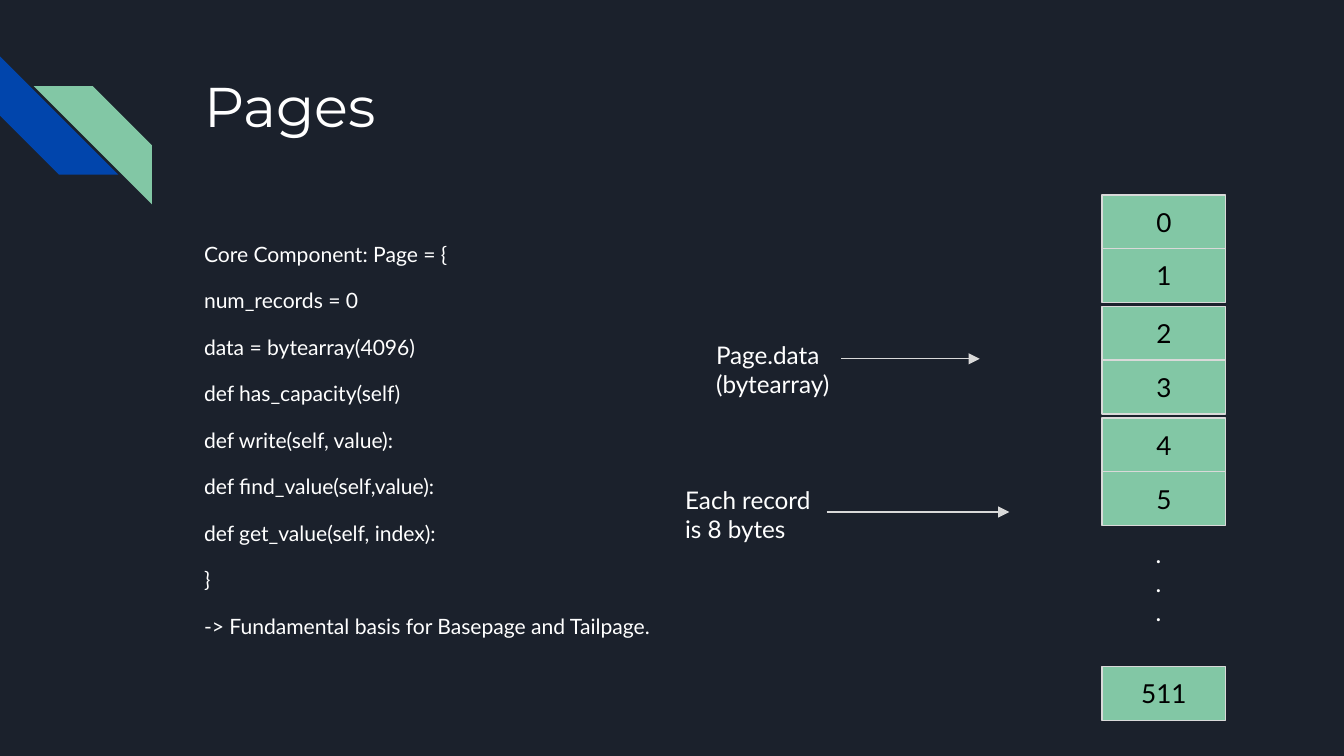
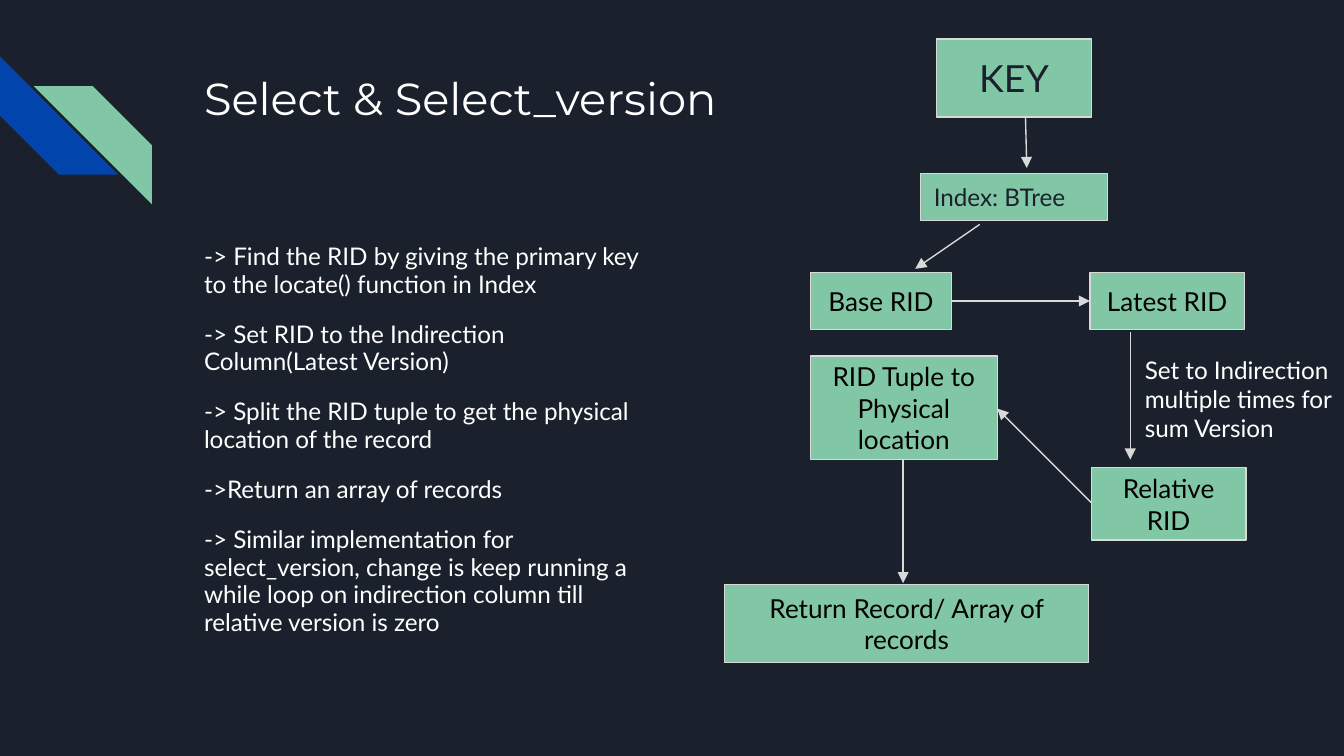
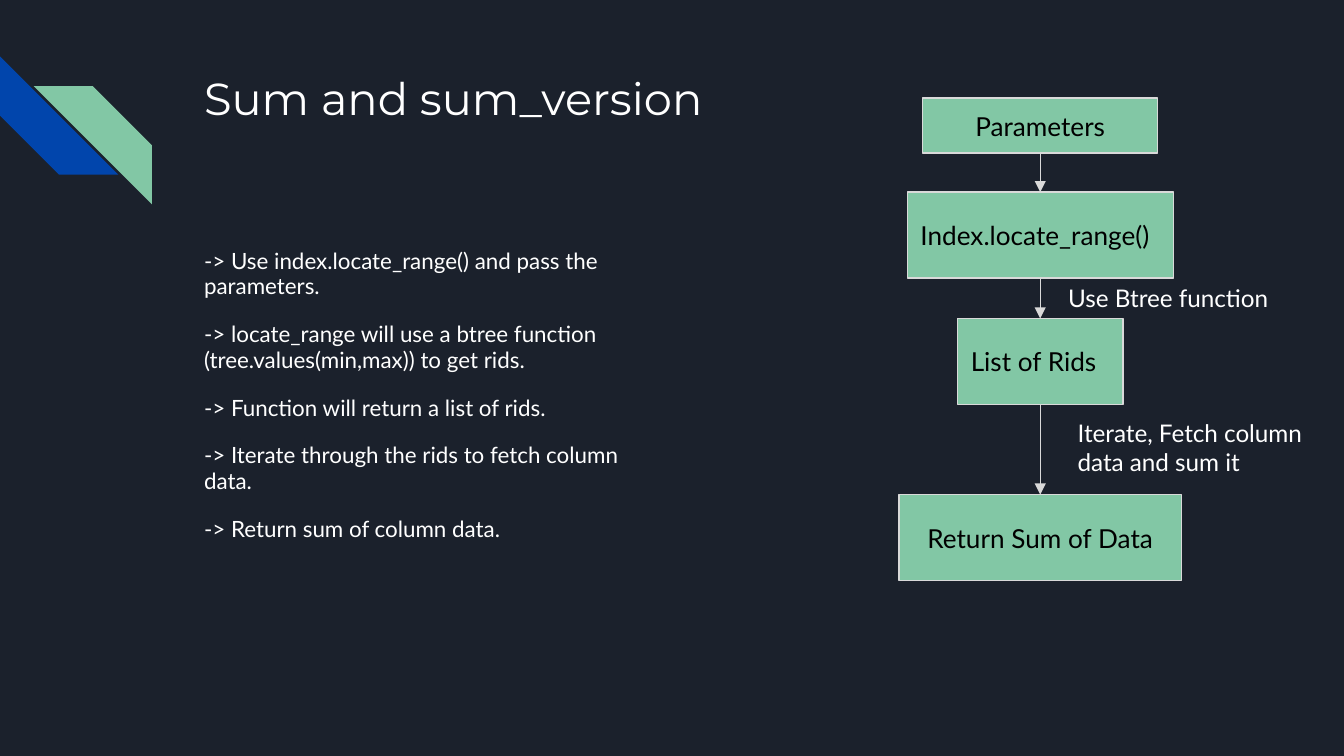
import pptx
import pptx.dml.color
import pptx.enum.shapes
import pptx.enum.text
import pptx.oxml.ns
import pptx.util
from lxml import etree

Inches = pptx.util.Inches
SHAPES = pptx.enum.shapes.MSO_SHAPE
ALIGN = pptx.enum.text.PP_ALIGN
ANCHOR = pptx.enum.text.MSO_ANCHOR

NAVY = "1B212C"
BLUE = "0145AC"
GREEN = "82C7A5"
GREY = "D9D9D9"
WHITE = "FFFFFF"
BLACK = "000000"
BODY_FONT = "Lato"
TITLE_FONT = "Montserrat"


# Shared helpers
def color(value):
    return pptx.dml.color.RGBColor.from_string(value)


def fill_text(shape, text, size, ink, font=BODY_FONT, align=ALIGN.LEFT, anchor=ANCHOR.TOP):
    frame = shape.text_frame
    frame.word_wrap = True
    frame.vertical_anchor = anchor
    frame.margin_left = frame.margin_right = Inches(0.1)
    frame.margin_top = frame.margin_bottom = Inches(0.1)
    frame.text = text
    for para in frame.paragraphs:
        para.alignment = align
        for span in para.runs:
            span.font.size = pptx.util.Pt(size)
            span.font.name = font
            span.font.color.rgb = color(ink)
    return frame


def add_text(page, box, text, size=13, font=BODY_FONT):
    label = page.shapes.add_textbox(*map(Inches, box))
    return fill_text(label, text, size, WHITE, font)


def add_plain_shape(page, kind, box, fill):
    shape = page.shapes.add_shape(kind, *map(Inches, box))
    shape.shadow.inherit = False
    shape.fill.solid()
    shape.fill.fore_color.rgb = color(fill)
    shape.line.fill.background()
    return shape


def add_node(page, box, text, size=14, ink=BLACK, align=ALIGN.CENTER):
    node = add_plain_shape(page, SHAPES.RECTANGLE, box, GREEN)
    node.line.color.rgb = color(GREY)
    node.line.width = pptx.util.Pt(0.75)
    fill_text(node, text, size, ink, align=align, anchor=ANCHOR.MIDDLE)


def add_arrow(page, start, end):
    arrow = page.shapes.add_connector(
        pptx.enum.shapes.MSO_CONNECTOR.STRAIGHT, *map(Inches, (*start, *end)))
    arrow.line.color.rgb = color(GREY)
    arrow.line.width = pptx.util.Pt(0.75)
    qn = pptx.oxml.ns.qn
    properties = arrow.element.spPr
    outline = properties.find(qn("a:ln"))
    etree.SubElement(outline, qn("a:tailEnd"), type="triangle")
    etree.SubElement(properties, qn("a:effectLst"))


# Parts that every slide has
def add_stripes(page, left, top):
    size = 0.88
    for dx, dy, fill, turn in ((0, 0, BLUE, 270), (0.25, 0.22, GREEN, 90)):
        stripe = add_plain_shape(
            page, SHAPES.DIAGONAL_STRIPE, (left + dx, top + dy, size, size), fill)
        stripe.rotation = turn


def add_page(deck, title, title_size):
    page = deck.slides.add_slide(deck.slide_layouts[6])
    page.background.fill.solid()
    page.background.fill.fore_color.rgb = color(NAVY)
    add_stripes(page, 0, 0.42)
    add_text(page, (1.42, 0.43, 7.7, 1), title, title_size, TITLE_FONT)
    return page


def add_body(page, box, lines, size):
    frame = add_text(page, box, "\n".join(lines), size)
    for index, para in enumerate(frame.paragraphs):
        para.line_spacing = 0.95
        para.space_before = pptx.util.Pt(12 if index else 0)


# Column of record slots, stacked in pairs
def add_record_slots(page, left, top):
    width, height, pair_step = 0.92, 0.4, 0.83
    for number in range(6):
        pair, second = divmod(number, 2)
        slot_top = top + pair * pair_step + second * height
        add_node(page, (left, slot_top, width, height), str(number))
    add_text(page, (left + 0.3, top + 2.46, 0.31, 1.08), ".\n.\n.")
    add_node(page, (left, top + 3.51, width, height), "511")


# Notes that point at the record slots
def add_slot_notes(page, left, top):
    add_text(page, (left + 0.23, top, 4.77, 0.64), "Page.data\n(bytearray)")
    add_arrow(page, (left + 1.26, top + 0.24), (left + 2.29, top + 0.24))
    add_text(page, (left, top + 1.08, 5, 0.64), "Each record\nis 8 bytes")
    add_arrow(page, (left + 1.15, top + 1.38), (left + 2.51, top + 1.38))


# Flow from key to returned records
def add_select_flow(page, left, top):
    nodes = (
        ("Base RID", (0.64, 1.74, 1.05, 0.42)),
        ("Latest RID", (2.72, 1.74, 1.15, 0.42)),
        ("Relative RID", (2.73, 3.19, 1.15, 0.54)),
        ("RID Tuple to Physical location", (0.64, 2.36, 1.39, 0.77)),
        ("Return Record/ Array of records", (0, 4.06, 2.71, 0.58)),
    )
    arrows = (
        ((2.24, 0.57), (2.25, 0.96)),
        ((1.9, 1.38), (1.42, 1.71)),
        ((1.69, 1.95), (2.72, 1.95)),
        ((3.02, 2.18), (3.02, 3.13)),
        ((2.73, 3.45), (2.03, 2.75)),
        ((1.33, 3.13), (1.33, 4.05)),
    )

    def place(x, y, *size):
        return (left + x, top + y, *size)

    add_node(page, place(1.58, 0, 1.15, 0.58), "KEY", 20, NAVY)
    add_node(page, place(1.46, 1, 1.39, 0.35), "Index: BTree", 13, NAVY, ALIGN.LEFT)
    for text, box in nodes:
        add_node(page, place(*box), text)
    add_text(page, place(3.03, 2.25, 1.7, 0.86),
             "Set to Indirection multiple times for sum Version")
    for start, end in arrows:
        add_arrow(page, place(*start), place(*end))


# Flow of steps centred on one axis
def add_sum_flow(page, axis, top):
    steps = (
        ("Parameters", 0, 1.75, 0.41, ALIGN.CENTER),
        ("Index.locate_range()", 0.7, 1.98, 0.64, ALIGN.LEFT),
        ("List of Rids", 1.64, 1.23, 0.64, ALIGN.LEFT),
        ("Return Sum of Data", 2.95, 2.1, 0.64, ALIGN.CENTER),
    )
    bottom = None
    for text, offset, width, height, align in steps:
        step_top = top + offset
        add_node(page, (axis - width / 2, step_top, width, height), text, align=align)
        if bottom is not None:
            add_arrow(page, (axis, bottom), (axis, step_top))
        bottom = step_top + height
    add_text(page, (axis + 0.11, top + 1.28, 2.07, 0.42), "Use Btree function")
    add_text(page, (axis + 0.18, top + 2.28, 2.1, 0.64),
             "Iterate, Fetch column data and sum it")


# Slides
def add_pages_slide(deck):
    page = add_page(deck, "Pages", 30)
    add_body(page, (1.42, 1.71, 3.93, 3.18), (
        "Core Component: Page = {",
        "num_records = 0",
        "data = bytearray(4096)",
        "def has_capacity(self)",
        "def write(self, value):",
        "def find_value(self,value):",
        "def get_value(self, index):",
        "}",
        "-> Fundamental basis for Basepage and Tailpage.",
    ), 11.3)
    add_record_slots(page, 8.2, 1.45)
    add_slot_notes(page, 5, 2.43)


def add_select_slide(deck):
    page = add_page(deck, "Select & Select_version", 24)
    add_body(page, (1.42, 1.71, 3.58, 3.18), (
        "-> Find the RID by giving the primary key to the locate() function in Index",
        "-> Set RID to the Indirection Column(Latest Version)",
        "-> Split the RID tuple to get the physical location of the record",
        "->Return an array of records",
        "-> Similar implementation for select_version, change is keep running a "
        "while loop on indirection column till relative version is zero",
    ), 13)
    add_select_flow(page, 5.39, 0.29)


def add_sum_slide(deck):
    page = add_page(deck, "Sum and sum_version", 24)
    add_body(page, (1.42, 1.75, 3.5, 3.18), (
        "-> Use index.locate_range() and pass the parameters.",
        "-> locate_range will use a btree function (tree.values(min,max)) to get rids.",
        "-> Function will return a list of rids.",
        "-> Iterate through the rids to fetch column data.",
        "-> Return sum of column data.",
    ), 12)
    add_sum_flow(page, 7.74, 0.73)


def main():
    deck = pptx.Presentation()
    deck.slide_width = Inches(10)
    deck.slide_height = Inches(10 * 9 / 16)
    add_pages_slide(deck)
    add_select_slide(deck)
    add_sum_slide(deck)
    deck.save("out.pptx")


if __name__ == "__main__":
    main()
